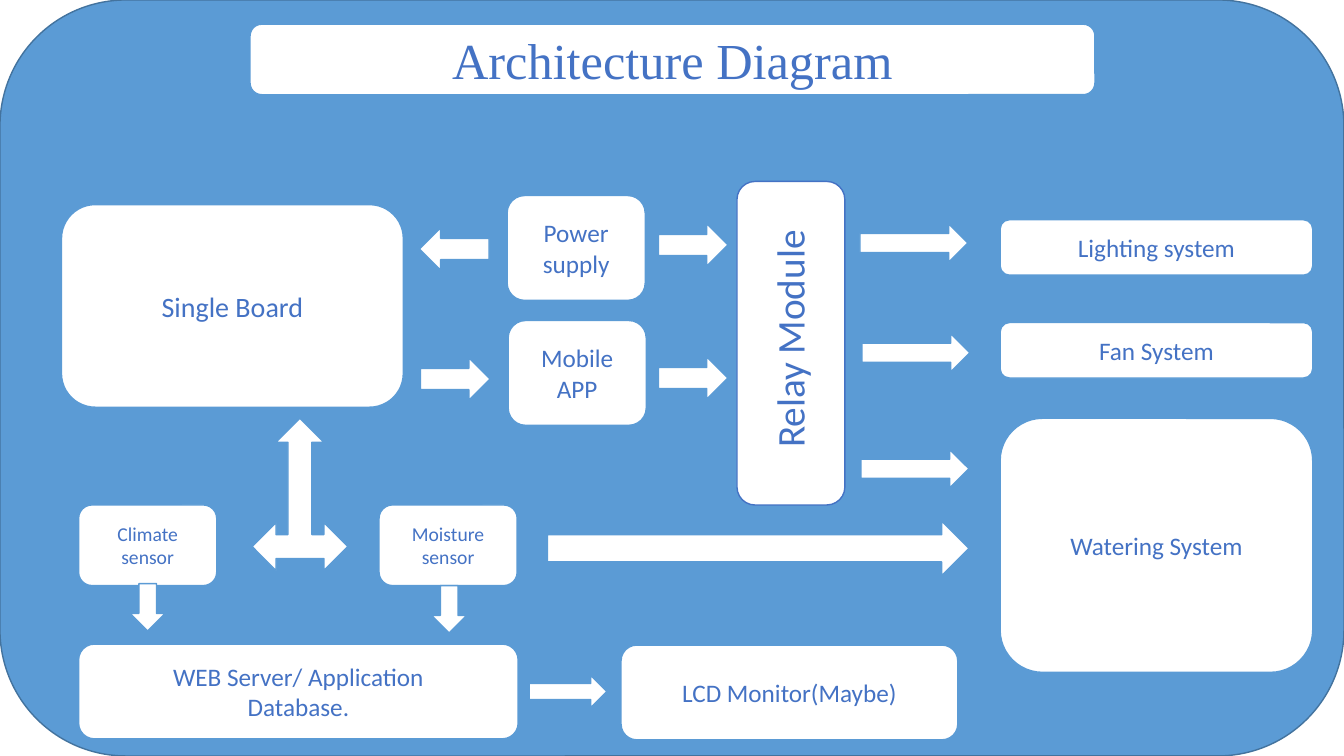
from pptx import Presentation
from pptx.dml.color import RGBColor
from pptx.enum.shapes import MSO_SHAPE
from pptx.enum.text import MSO_ANCHOR, MSO_AUTO_SIZE, PP_ALIGN
from pptx.util import Inches, Pt

WHITE = RGBColor(0xFF, 0xFF, 0xFF)
SKY = RGBColor(0x5B, 0x9B, 0xD5)
STEEL = RGBColor(0x43, 0x73, 0x9E)
BLUE = RGBColor(0x44, 0x72, 0xC4)

TITLE_AREA = (2.48, 0.24, 8.38, 0.7)

# Boxes: text, size in points, left, top, width, height
BOXES = [
    ("Single Board", 20, 0.61, 2.03, 3.39, 2.01),
    ("Power supply", 18, 5.03, 1.94, 1.37, 1.04),
    ("Mobile APP", 18, 5.04, 3.18, 1.37, 1.04),
    ("Lighting system", 18, 9.92, 2.18, 3.1, 0.55),
    ("Fan System", 18, 9.92, 3.2, 3.1, 0.55),
    ("Watering System", 18, 9.92, 4.15, 3.1, 2.52),
    ("Climate sensor", 14, 0.78, 5.01, 1.37, 0.8),
    ("Moisture sensor", 14, 3.76, 5.01, 1.37, 0.8),
    ("WEB Server/ Application\nDatabase.", 18, 0.78, 6.39, 4.36, 0.94),
    ("LCD Monitor(Maybe)", 18, 6.16, 6.4, 3.34, 0.94),
]

# Arrows grouped by size: preset, width, height, (left, top) of each
ARROWS = [
    (MSO_SHAPE.RIGHT_ARROW, 0.69, 0.42, [(6.53, 2.22), (6.53, 3.54), (4.17, 3.55)]),
    (MSO_SHAPE.RIGHT_ARROW, 1.07, 0.38, [(8.53, 2.22), (8.55, 3.31), (8.54, 4.46)]),
    (MSO_SHAPE.RIGHT_ARROW, 4.18, 0.54, [(5.43, 5.17)]),
    (MSO_SHAPE.RIGHT_ARROW, 0.77, 0.32, [(5.25, 6.7)]),
    (MSO_SHAPE.DOWN_ARROW, 0.35, 0.47, [(1.29, 5.79), (4.28, 5.81)]),
    (MSO_SHAPE.LEFT_RIGHT_UP_ARROW, 0.95, 1.51, [(2.5, 4.15)]),
]


def add_block(slide, preset, area, fill=WHITE, line=SKY):
    block = slide.shapes.add_shape(preset, *map(Inches, area))
    block.shadow.inherit = False
    block.fill.solid()
    block.fill.fore_color.rgb = fill
    block.line.color.rgb = line
    block.line.width = Pt(1)
    return block


def write(frame, text, size, font="Calibri", align=PP_ALIGN.CENTER):
    frame.text = text
    frame.word_wrap = True
    frame.vertical_anchor = MSO_ANCHOR.MIDDLE
    for paragraph in frame.paragraphs:
        paragraph.alignment = align
        for run in paragraph.runs:
            run.font.name = font
            run.font.size = Pt(size)
            run.font.color.rgb = BLUE


def add_title(slide, text):
    add_block(slide, MSO_SHAPE.ROUNDED_RECTANGLE, TITLE_AREA)
    title = slide.shapes.title
    title.left, title.top, title.width, title.height = map(Inches, TITLE_AREA)
    write(title.text_frame, text, 36, "Times New Roman")
    title.text_frame.auto_size = MSO_AUTO_SIZE.NONE
    # Bring the title in front of its panel
    slide.shapes.element.append(title.element)


def add_box(slide, text, size, *area):
    box = add_block(slide, MSO_SHAPE.ROUNDED_RECTANGLE, area)
    write(box.text_frame, text, size)


def add_relay_module(slide):
    add_block(slide, MSO_SHAPE.ROUNDED_RECTANGLE, (7.31, 1.8, 1.07, 3.21), line=BLUE)
    label = slide.shapes.add_textbox(*map(Inches, (5.7, 2.13, 4.25, 0.57)))
    label.rotation = 270
    write(label.text_frame, "Relay Module", 28, align=PP_ALIGN.LEFT)


def main():
    prs = Presentation()
    prs.slide_width, prs.slide_height = Inches(13.33), Inches(7.5)
    slide = prs.slides.add_slide(prs.slide_layouts[5])

    # Backdrop and heading
    add_block(slide, MSO_SHAPE.ROUNDED_RECTANGLE, (0, 0, 13.33, 7.5), SKY, STEEL)
    add_title(slide, "Architecture Diagram")

    # Components
    for box in BOXES:
        add_box(slide, *box)
    add_relay_module(slide)

    # Flow between components
    for preset, width, height, places in ARROWS:
        for left, top in places:
            add_block(slide, preset, (left, top, width, height))
    power_to_board = add_block(slide, MSO_SHAPE.RIGHT_ARROW, (4.16, 2.26, 0.69, 0.42))
    power_to_board.rotation = 180

    prs.save("out.pptx")


if __name__ == "__main__":
    main()
